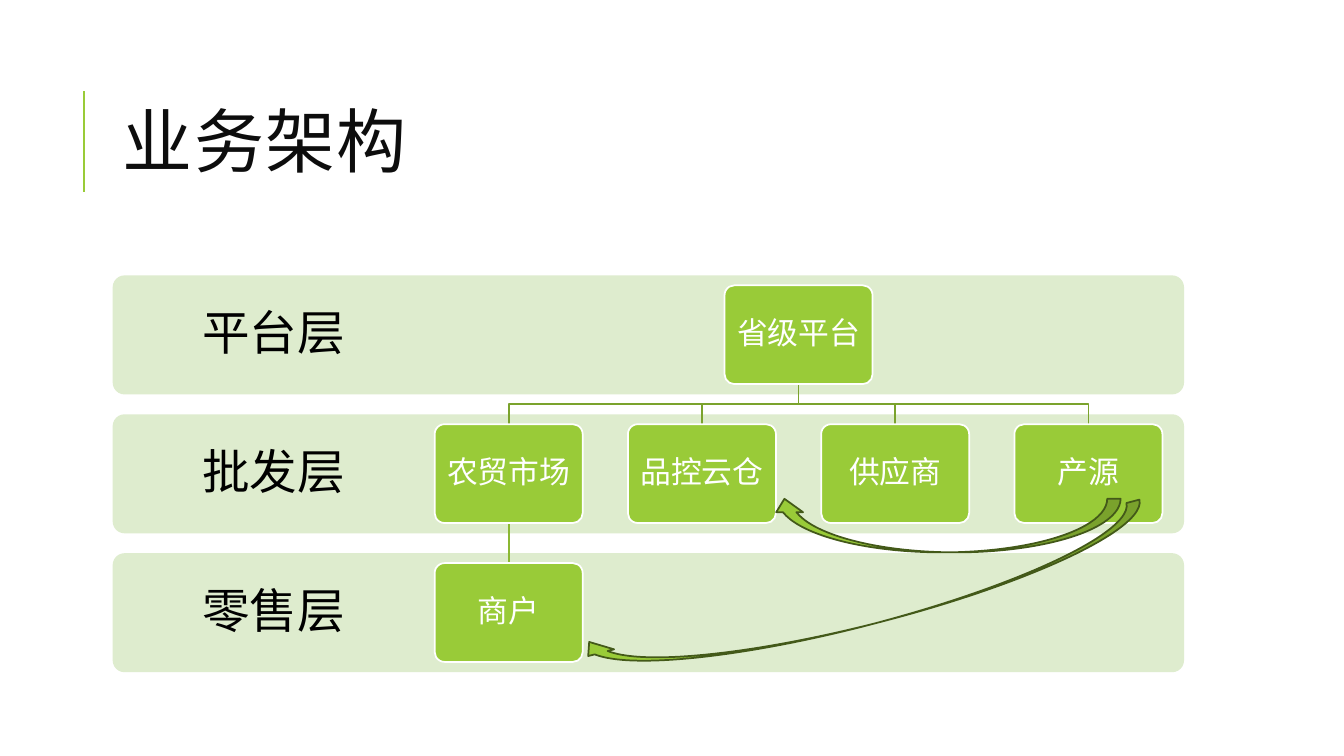
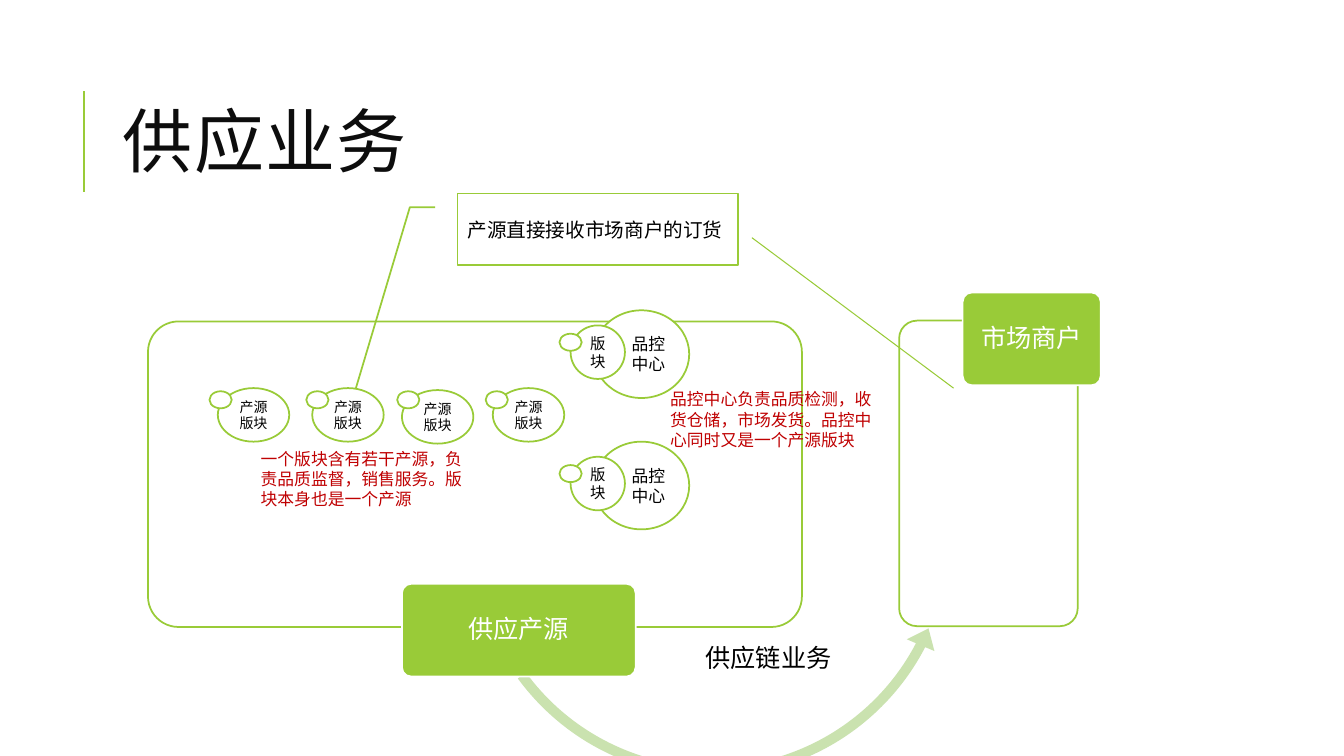
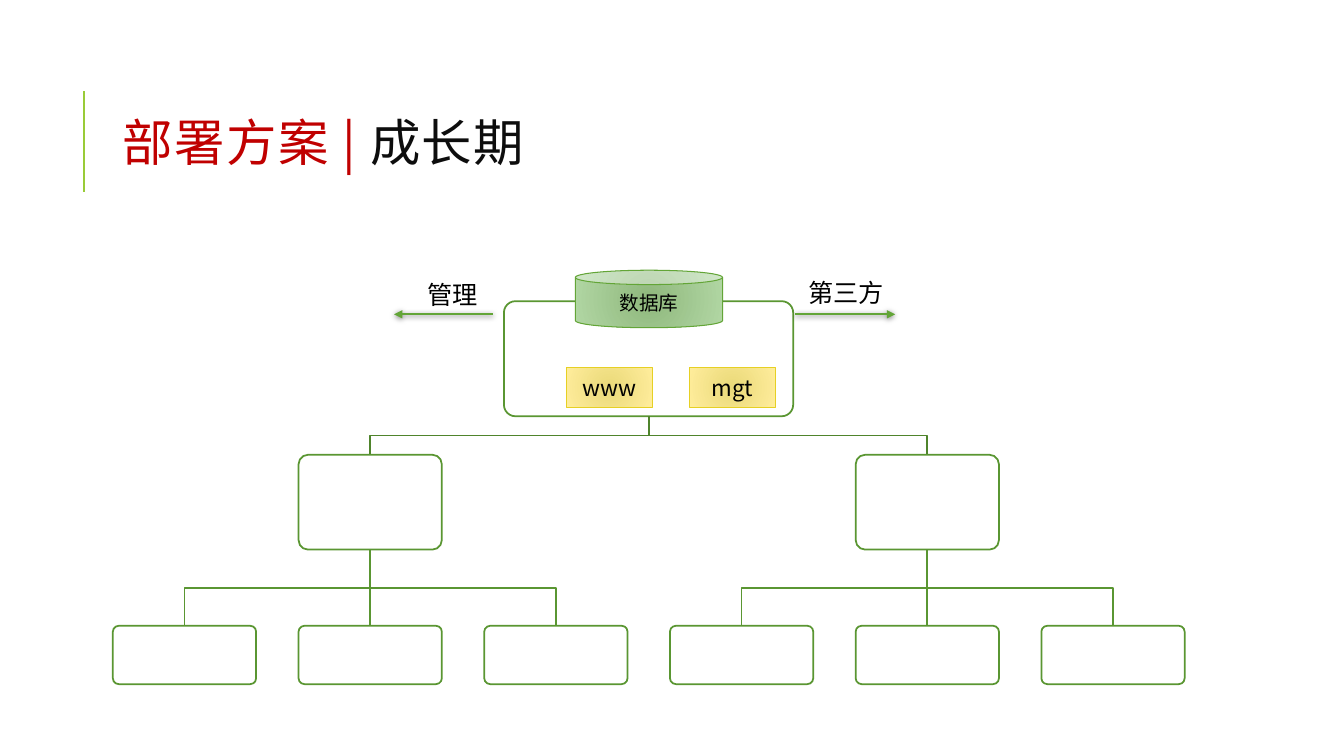
from lxml import etree
from pptx import Presentation
from pptx.dml.color import RGBColor
from pptx.enum.shapes import MSO_CONNECTOR, MSO_SHAPE
from pptx.enum.text import MSO_ANCHOR, MSO_AUTO_SIZE, PP_ALIGN
from pptx.oxml.ns import qn
from pptx.util import Cm, Pt

ROUNDED, OVAL, RECT = MSO_SHAPE.ROUNDED_RECTANGLE, MSO_SHAPE.OVAL, MSO_SHAPE.RECTANGLE
CAN, CALLOUT = MSO_SHAPE.CAN, MSO_SHAPE.LINE_CALLOUT_2
CURVED_ARROW, ARC_ARROW = MSO_SHAPE.CURVED_LEFT_ARROW, MSO_SHAPE.LEFT_CIRCULAR_ARROW
STRAIGHT = MSO_CONNECTOR.STRAIGHT
LEFT, CENTER, RIGHT = PP_ALIGN.LEFT, PP_ALIGN.CENTER, PP_ALIGN.RIGHT
MIDDLE, TOP = MSO_ANCHOR.MIDDLE, MSO_ANCHOR.TOP
NO_AUTOFIT = MSO_AUTO_SIZE.NONE

CJK, CABIN, CALIBRI = "Noto Sans CJK SC", "Cabin", "Calibri"
COLORS = {
    "lime": "99CB38", "branch": "7BA32D", "twig": "8BB833", "olive": "435919",
    "band": "DEECCE", "arc": "CAE2AF", "white": "FFFFFF", "black": "000000",
    "ink": "0D0D0D", "red": "C00000", "note": "BF0102",
    "green": "5A9632", "trunk": "4F842C", "arrow": "63A537",
    "can_in": "8FB87D", "can_out": "B2D7A4",
    "gold": "E6D024", "gold_in": "EAD979", "gold_out": "FFED9C",
}


def rgb(name):
    return RGBColor.from_string(COLORS[name])


class Board:
    """Holds the deck, its style and the slide being drawn; lengths are in cm."""

    def __init__(self):
        self.deck = Presentation()
        self.deck.slide_width, self.deck.slide_height = Cm(33.87), Cm(19.05)
        self.slide = None

    def page(self, runs, size=50, font=CALIBRI):
        """Start a slide with its accent rule and a title of (text, color) runs."""
        self.slide = self.deck.slides.add_slide(self.deck.slide_layouts[5])
        self.line((2.11, 4.83), (2.11, 2.29), "lime", 1.5)
        title = self.slide.shapes.title
        title.left, title.top, title.width, title.height = Cm(2.84), Cm(1.63), Cm(27), Cm(4.17)
        frame = title.text_frame
        frame.word_wrap, frame.auto_size = True, NO_AUTOFIT
        frame.vertical_anchor = MIDDLE
        para = frame.paragraphs[0]
        para.alignment, para.line_spacing = LEFT, 0.8
        for text, color in runs:
            span = self.span(para, text, size, color, font)
            span.font._element.set("spc", "100")

    def span(self, para, text, size, color, font):
        span = para.add_run()
        span.text = text
        span.font.size, span.font.name = Pt(size), font
        span.font.color.rgb = rgb(color)
        etree.SubElement(span.font._element, qn("a:ea")).set("typeface", CJK)
        return span

    def put_text(self, box, text, size, color="black", font=CJK, align=CENTER,
                 anchor=MIDDLE, spacing=None, margins=None, wrap=True):
        """Fill a box with one paragraph; margins are left, top, right, bottom."""
        frame = box.text_frame
        frame.word_wrap, frame.vertical_anchor = wrap, anchor
        if margins:
            (frame.margin_left, frame.margin_top,
             frame.margin_right, frame.margin_bottom) = [Cm(side) for side in margins]
        para = frame.paragraphs[0]
        para.alignment = align
        if spacing:
            para.line_spacing = spacing
        self.span(para, text, size, color, font)

    def shape(self, kind, left, top, width, height, fill="white", line="lime",
              weight=1.25, adjust=(), turn=0):
        box = self.slide.shapes.add_shape(kind, Cm(left), Cm(top), Cm(width), Cm(height))
        box.shadow.inherit = False
        box.rotation = turn
        box.fill.solid()
        box.fill.fore_color.rgb = rgb(fill)
        if line:
            box.line.color.rgb, box.line.width = rgb(line), Pt(weight)
        else:
            box.line.fill.background()
        for index, value in enumerate(adjust):
            box.adjustments[index] = value
        return box

    def rounded(self, left, top, width, height, **style):
        return self.shape(ROUNDED, left, top, width, height, adjust=[0.1], **style)

    def node(self, text, left, top, width, height, size, font=CJK):
        box = self.rounded(left, top, width, height, fill="lime", line="white")
        self.put_text(box, text, size, "white", font, spacing=0.9, margins=[0.1] * 4)

    def glow(self, box, inner, outer):
        """Give a shape a radial gradient."""
        box.fill.gradient()
        for stop, color, position in zip(box.fill.gradient_stops, (inner, outer), (0, 1)):
            stop.color.rgb, stop.position = rgb(color), position
        gradient = box._element.spPr.find(qn("a:gradFill"))
        gradient.remove(gradient.find(qn("a:lin")))
        circle = etree.SubElement(gradient, qn("a:path"))
        circle.set("path", "circle")
        target = etree.SubElement(circle, qn("a:fillToRect"))
        for side in "ltrb":
            target.set(side, "100000")

    def label(self, text, left, top, width, height, size, color="black", wrap=True):
        box = self.slide.shapes.add_textbox(Cm(left), Cm(top), Cm(width), Cm(height))
        self.put_text(box, text, size, color, align=LEFT, anchor=TOP, wrap=wrap)

    def line(self, start, end, color, weight):
        """Draw a straight line; return it with its effect list."""
        line = self.slide.shapes.add_connector(STRAIGHT, *[Cm(v) for v in (*start, *end)])
        line.line.color.rgb, line.line.width = rgb(color), Pt(weight)
        return line, etree.SubElement(line._element.spPr, qn("a:effectLst"))

    def arrow(self, start, end):
        line, effects = self.line(start, end, "arrow", 1.5)
        outline = line._element.spPr.find(qn("a:ln"))
        etree.SubElement(outline, qn("a:tailEnd"), type="triangle")
        shadow = etree.SubElement(effects, qn("a:outerShdw"), blurRad=str(Pt(4)),
                                  dist=str(Pt(1)), dir="5400000", rotWithShape="0")
        black = etree.SubElement(shadow, qn("a:srgbClr"), val=COLORS["black"])
        etree.SubElement(black, qn("a:alpha"), val="50000")

    def link(self, start, end, color):
        """Join a parent to a child, turning halfway down if they are not aligned."""
        if abs(start[0] - end[0]) < 0.01:
            self.line(start, end, color, 1.25)
            return
        middle = (start[1] + end[1]) / 2
        points = [(Cm(x), Cm(y)) for x, y in
                  (start, (start[0], middle), (end[0], middle), end)]
        builder = self.slide.shapes.build_freeform(*points[0])
        builder.add_line_segments(points[1:], close=False)
        branch = builder.convert_to_shape()
        branch.shadow.inherit = False
        branch.fill.background()
        branch.line.color.rgb, branch.line.width = rgb(color), Pt(1.25)


def draw_architecture(board):
    board.page([("业务架构", "ink")])
    pitch, width, height = 3.5, 3.73, 2.49
    tops = [7.19 + pitch * level for level in range(3)]
    for level, name in enumerate(("平台层", "批发层", "零售层")):
        band = board.rounded(2.84, 6.94 + pitch * level, 27, 3, fill="band", line=None)
        board.put_text(band, name, 34, font=CABIN, spacing=0.9,
                       margins=(0.66, 0.66, 19.56, 0.66))

    wholesalers = ("农贸市场", "品控云仓", "供应商", "产源")
    centers = [12.82 + 4.87 * column for column in range(len(wholesalers))]
    root = (centers[0] + centers[-1]) / 2
    for center in centers:
        board.link((root, tops[0] + height), (center, tops[1]), "branch")
    board.link((centers[0], tops[1] + height), (centers[0], tops[2]), "twig")
    nodes = [("省级平台", root, tops[0]), ("商户", centers[0], tops[2])]
    nodes += [(name, center, tops[1]) for name, center in zip(wholesalers, centers)]
    for name, center, top in nodes:
        board.node(name, center - width / 2, top, width, height, 22, CABIN)

    for left, top, length, turn in ((23.16, 8.84, 8.81, 90), (21.11, 7.75, 14.66, 75.5)):
        board.shape(CURVED_ARROW, left, top, 1.35, length, fill="lime", line="olive", turn=turn)


def draw_supply(board):
    board.page([("供应业务", "ink")])
    board.rounded(3.73, 8.1, 16.48, 7.7)
    board.shape(ARC_ARROW, 11.63, 7.21, 12.62, 12.62, fill="arc", line=None,
                adjust=(0.02, 2.71, 16.5, 86.28, 0.03))
    board.node("供应产源", 10.13, 14.71, 5.89, 2.34, 18)
    board.rounded(22.66, 8.08, 4.5, 7.7)
    board.node("市场商户", 24.26, 7.37, 3.48, 2.34, 18)

    board.label("供应链业务", 17.53, 16.05, 3.96, 1.02, 18)
    board.label("品控中心负责品质检测，收货仓储，市场发货。品控中心同时又是一个产源版块",
                16.64, 9.68, 5.87, 1.8, 12, "note")
    board.label("一个版块含有若干产源，负责品质监督，销售服务。版块本身也是一个产源",
                6.32, 11.18, 5.64, 1.8, 12, "note")
    callout = board.shape(CALLOUT, 11.53, 4.88, 7.06, 1.8,
                          adjust=(0.19, -0.08, 0.19, -0.17, 2.82, -0.37))
    board.put_text(callout, "产源直接接收市场商户的订货", 14, font=CABIN, align=LEFT)
    board.line((18.95, 5.99), (24.03, 9.78), "lime", 0.75)

    def dot(left, top):
        board.shape(OVAL, left, top, 0.56, 0.43)

    for left, top, dot_left in ((5.49, 9.78, 5.28), (7.87, 9.78, 7.72),
                                (10.13, 9.83, 10.01), (12.42, 9.78, 12.24)):
        board.put_text(board.shape(OVAL, left, top, 1.8, 1.35), "产源版块", 10)
        dot(dot_left, 9.86)
    for top in (7.82, 11.13):
        board.put_text(board.shape(OVAL, 14.96, top, 2.41, 2.21), "品控中心", 12, align=RIGHT)
        board.put_text(board.shape(OVAL, 14.38, top + 0.38, 1.37, 1.35), "版块", 11)
        dot(14.1, top + 0.59)


def draw_deployment(board):
    board.page([("部署方案 | ", "red"), ("成长期", "ink")], 36, CJK)
    width = 3.61
    leaves = [4.65 + 4.68 * column for column in range(6)]
    root = (leaves[0] + leaves[-1]) / 2
    board.rounded(root - 3.65, 7.59, 7.29, 2.9, line="green")
    for first in (0, 3):
        group = leaves[first:first + 3]
        parent = group[1]
        board.link((root, 10.49), (parent, 11.46), "trunk")
        board.rounded(parent - width / 2, 11.46, width, 2.39, line="green")
        for leaf in group:
            board.link((parent, 13.85), (leaf, 15.77), "green")
            board.rounded(leaf - width / 2, 15.77, width, 1.47, line="green")

    board.arrow((20.04, 7.92), (22.56, 7.92))
    board.arrow((12.42, 7.92), (9.93, 7.92))
    board.label("管理", 10.52, 6.91, 1.8, 1.02, 18, wrap=False)
    board.label("第三方", 20.12, 6.86, 2.44, 1.02, 18, wrap=False)
    database = board.shape(CAN, 14.5, 6.81, 3.71, 1.45, line="arrow", weight=0.75)
    board.glow(database, "can_in", "can_out")
    board.put_text(database, "数据库", 14)
    for name, left in (("www", 14.27), ("mgt", 17.37)):
        server = board.shape(RECT, left, 9.25, 2.18, 1.02, line="gold", weight=0.75)
        board.glow(server, "gold_in", "gold_out")
        board.put_text(server, name, 16)


def main():
    board = Board()
    draw_architecture(board)
    draw_supply(board)
    draw_deployment(board)
    board.deck.save("out.pptx")


if __name__ == "__main__":
    main()
